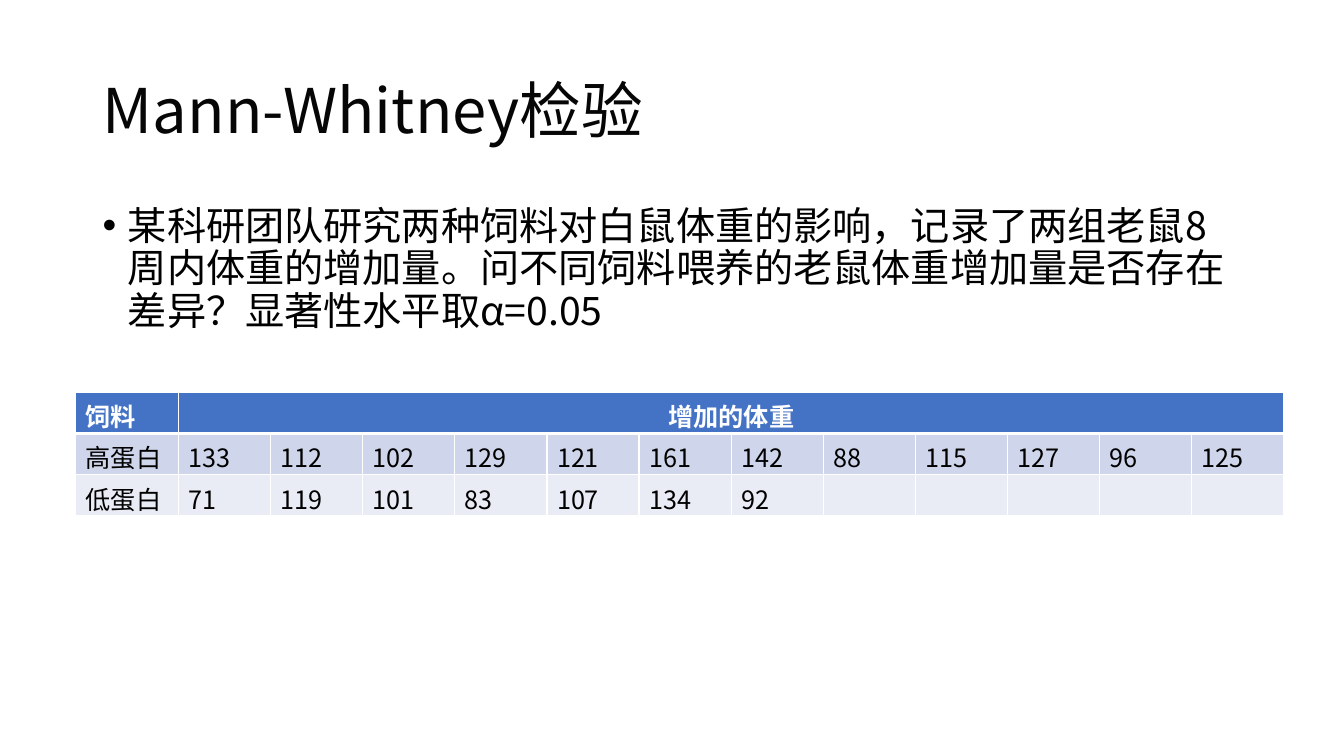
from dataclasses import dataclass

from pptx import Presentation, util as u
from pptx.dml.color import RGBColor
from pptx.enum import text
from pptx.oxml import parse_xml
from pptx.oxml.ns import nsdecls, qn


@dataclass(frozen=True)
class Theme:
    font: str = "Noto Sans CJK SC"
    title_size: int = 44
    body_size: int = 28
    table_size: int = 18
    title: str = "060607"
    ink: str = "000000"
    white: str = "FFFFFF"
    header: str = "4472C4"
    bands: tuple = ("CFD5EA", "E9EBF5")


T = Theme()
WIDTH, HEIGHT = 13.33, 7.5
MARGIN = 0.92
LABEL_WIDTH = 1.02
ROW_HEIGHT = 0.41

TITLE = "Mann-Whitney检验"
QUESTION = ("某科研团队研究两种饲料对白鼠体重的影响，记录了两组老鼠8周内体重的增加量。"
            "问不同饲料喂养的老鼠体重增加量是否存在差异？显著性水平取α=0.05")
HEADINGS = ("饲料", "增加的体重")
WEIGHT_GAINS = {
    "高蛋白": [133, 112, 102, 129, 121, 161, 142, 88, 115, 127, 96, 125],
    "低蛋白": [71, 119, 101, 83, 107, 134, 92],
}


def write(tf, words, size, color, bold=False, align=text.PP_ALIGN.LEFT,
          spacing=None, bullet=None):
    p = tf.paragraphs[0]
    p.alignment = align
    if spacing:
        p.line_spacing = spacing
    if bullet:
        pPr = p._p.get_or_add_pPr()
        pPr.set("marL", str(u.Inches(0.25)))
        pPr.set("indent", str(u.Inches(-0.25)))
        pPr.append(parse_xml(f'<a:buFont {nsdecls("a")} typeface="Arial"/>'))
        pPr.append(parse_xml(f'<a:buChar {nsdecls("a")} char="{bullet}"/>'))
    r = p.add_run()
    r.text = words
    r.font.name = T.font
    r.font.size = u.Pt(size)
    r.font.bold = bold
    r.font.color.rgb = RGBColor.from_string(color)
    # East Asian glyphs use the same typeface
    r._r.get_or_add_rPr().append(
        parse_xml(f'<a:ea {nsdecls("a")} typeface="{T.font}"/>'))


def style_cell(cell, fill, top=1, bottom=1):
    cell.fill.solid()
    cell.fill.fore_color.rgb = RGBColor.from_string(fill)
    tcPr = cell._tc.get_or_add_tcPr()
    widths = {"L": 1, "R": 1, "T": top, "B": bottom}
    for i, (side, width) in enumerate(widths.items()):
        tcPr.insert(i, parse_xml(
            f'<a:ln{side} {nsdecls("a")} w="{u.Pt(width)}"><a:solidFill>'
            f'<a:srgbClr val="{T.white}"/></a:solidFill></a:ln{side}>'))


def add_title(s, *box):
    sp = s.shapes.title
    sp.left, sp.top, sp.width, sp.height = map(u.Inches, box)
    tf = sp.text_frame
    tf.auto_size = text.MSO_AUTO_SIZE.NONE
    tf.vertical_anchor = text.MSO_ANCHOR.MIDDLE
    write(tf, TITLE, T.title_size, T.title, spacing=0.9)


def add_question(s, *box):
    tf = s.shapes.add_textbox(*map(u.Inches, box)).text_frame
    tf.word_wrap = True
    write(tf, QUESTION, T.body_size, T.ink, spacing=0.9, bullet="•")


def add_gains_table(s, left, top, width):
    count = max(map(len, WEIGHT_GAINS.values()))
    rows = 1 + len(WEIGHT_GAINS)
    table = s.shapes.add_table(
        rows, 1 + count, *map(u.Inches, (left, top, width, rows * ROW_HEIGHT))).table
    for row in table.rows:
        row.height = u.Inches(ROW_HEIGHT)
    for i, column in enumerate(table.columns):
        column.width = u.Inches((width - LABEL_WIDTH) / count if i else LABEL_WIDTH)

    # Header row, with one heading over all measurements
    for cell in table.rows[0].cells:
        style_cell(cell, T.header, bottom=3)
    table.cell(0, 1).merge(table.cell(0, count))
    for i, heading in enumerate(HEADINGS):
        align = text.PP_ALIGN.CENTER if i else text.PP_ALIGN.LEFT
        write(table.cell(0, i).text_frame, heading, T.table_size, T.white,
              bold=True, align=align)

    # One banded row for each feed
    for i, (feed, gains) in enumerate(WEIGHT_GAINS.items(), 1):
        for cell in table.rows[i].cells:
            style_cell(cell, T.bands[i - 1], top=3 if i == 1 else 1)
        for j, value in enumerate([feed, *gains]):
            write(table.cell(i, j).text_frame, str(value), T.table_size, T.ink)


def main():
    prs = Presentation()
    prs.slide_width, prs.slide_height = u.Inches(WIDTH), u.Inches(HEIGHT)
    s = prs.slides.add_slide(prs.slide_layouts[5])
    content = WIDTH - 2 * MARGIN
    add_title(s, MARGIN, 0.4, content, 1.45)
    add_question(s, MARGIN, 2, content, 4.76)
    add_gains_table(s, 0.75, 3.89, 11.99)
    prs.save("out.pptx")


if __name__ == "__main__":
    main()
